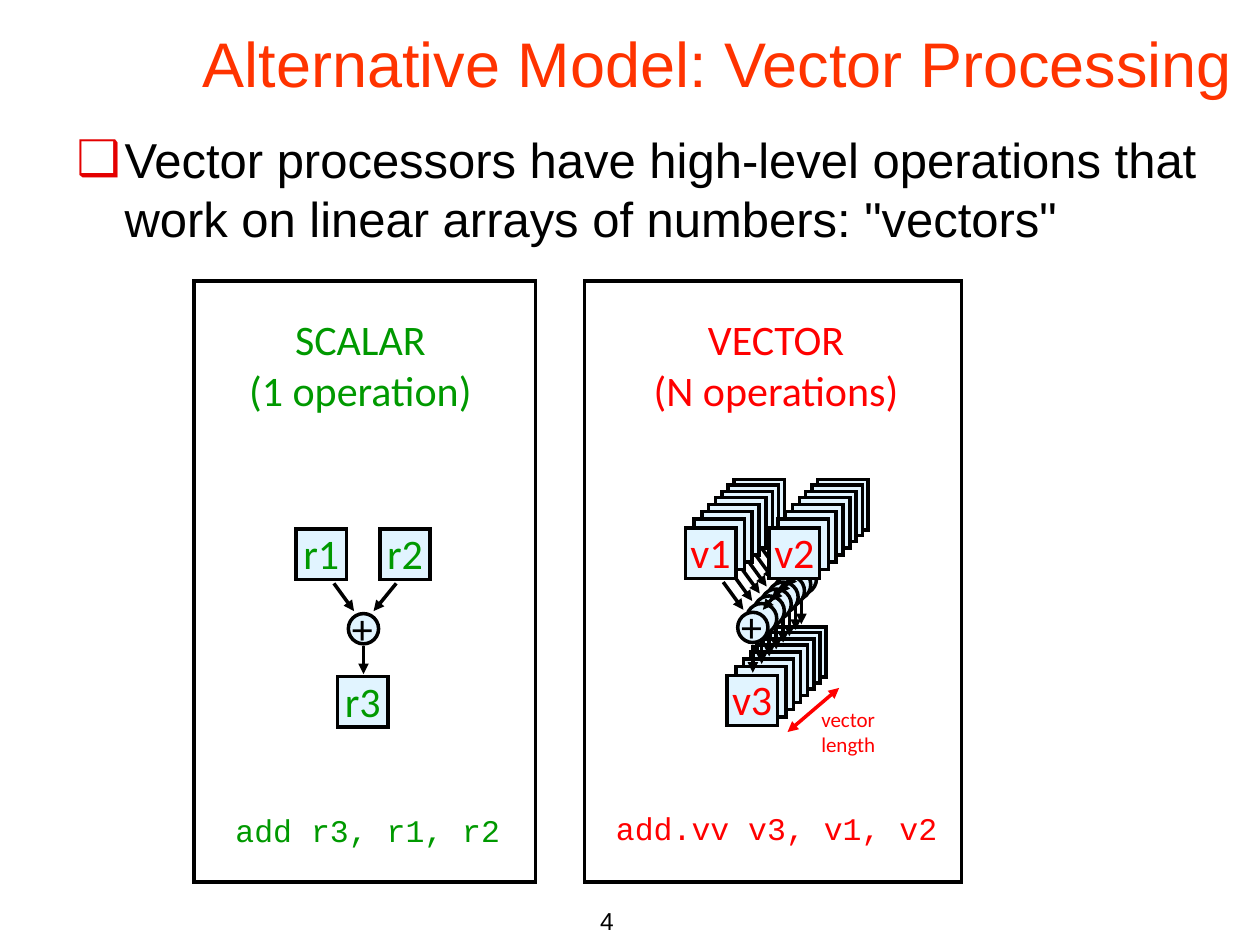
from pptx import Presentation
from pptx.dml.color import RGBColor
from pptx.enum.shapes import MSO_CONNECTOR, MSO_SHAPE
from pptx.enum.text import MSO_ANCHOR, MSO_AUTO_SIZE, PP_ALIGN
from pptx.oxml.ns import qn
from pptx.util import Inches, Pt
from lxml import etree

RECT, OVAL = MSO_SHAPE.RECTANGLE, MSO_SHAPE.OVAL
STRAIGHT = MSO_CONNECTOR.STRAIGHT
LEFT, CENTER, RIGHT = PP_ALIGN.LEFT, PP_ALIGN.CENTER, PP_ALIGN.RIGHT
TITLE_ONLY = 5
COLS, ROWS = 100, 75
WIDTH, HEIGHT = Inches(10), Inches(7.5)

BLACK, RED, GREEN = "000000", "FF0000", "009900"
PALE, ORANGE, BULLET_RED = "E1F4FF", "FF3300", "E40000"
SANS, LABEL, CODE = "Arial", "Calibri", "Courier New"

NODE, RING = 4, 2.4
OPERANDS = [(0, 0), (6.65, 0), (3.3, 11.7)]
RING_AT = (4.15, 6.7)
ARROWS = [((3, 4.3), (4.6, 6.5)), ((7.95, 4.3), (6.15, 6.5)),
          ((5.35, 9.3), (5.35, 11.5))]
DEPTHS = [3.85, 3.4, 2.9, 2.4, 1.85, 1.3, 0.7, 0]


def rgb(color):
    """Turn a hex string into a colour."""
    return RGBColor.from_string(color)


def cells(x, y):
    """Turn a grid column and row into slide lengths."""
    return int(WIDTH * x / COLS), int(HEIGHT * y / ROWS)


def place(x, y, w, h):
    """Turn a grid box into left, top, width and height."""
    return (*cells(x, y), *cells(w, h))


def fill_text(tf, lines, font, size, color, align=LEFT):
    """Write one paragraph for each line in a single style."""
    for i, line in enumerate(lines):
        p = tf.paragraphs[0] if i == 0 else tf.add_paragraph()
        p.alignment = align
        r = p.add_run()
        r.text = line
        r.font.color.rgb = rgb(color)
        for name, value in {"name": font, "size": Pt(size)}.items():
            setattr(r.font, name, value)


def add_text(slide, box, lines, font, size, color, align=LEFT, wrap=False):
    """Add a text box and return its frame."""
    tf = slide.shapes.add_textbox(*place(*box)).text_frame
    tf.word_wrap = wrap
    fill_text(tf, lines, font, size, color, align)
    return tf


def add_title(slide, box, text):
    """Move and format the title placeholder."""
    sp = slide.shapes.title
    for name, value in zip(("left", "top", "width", "height"), place(*box)):
        setattr(sp, name, value)
    tf = sp.text_frame
    tf.auto_size = MSO_AUTO_SIZE.NONE
    tf.vertical_anchor = MSO_ANCHOR.MIDDLE
    fill_text(tf, [text], SANS, 36, ORANGE)


def add_bullet(slide, box, text):
    """Add a paragraph with a hanging box bullet."""
    p = add_text(slide, box, [text], SANS, 28, BLACK, wrap=True).paragraphs[0]
    p.space_before = Pt(5.6)
    pPr = p._p.get_or_add_pPr()
    indent = Inches(0.38)
    pPr.set("marL", str(indent))
    pPr.set("indent", str(-indent))
    color = etree.SubElement(pPr, qn("a:buClr"))
    etree.SubElement(color, qn("a:srgbClr"), val=BULLET_RED)
    etree.SubElement(pPr, qn("a:buFont"), typeface=SANS)
    etree.SubElement(pPr, qn("a:buChar"), char="❑")


def add_box(slide, kind, box, fill=None):
    """Add a black-lined shape with an optional fill."""
    sp = slide.shapes.add_shape(kind, *place(*box))
    sp.shadow.inherit = False
    sp.line.color.rgb = rgb(BLACK)
    sp.line.width = Pt(2)
    etree.SubElement(sp.line._get_or_add_ln(), qn("a:miter"), lim="800000")
    if fill:
        sp.fill.solid()
        sp.fill.fore_color.rgb = rgb(fill)
    else:
        sp.fill.background()


def add_arrow(slide, start, end, color=BLACK, ends=("tailEnd",)):
    """Add a straight line with triangle heads at the named ends."""
    cx = slide.shapes.add_connector(STRAIGHT, *cells(*start), *cells(*end))
    cx.line.color.rgb = rgb(color)
    cx.line.width = Pt(2)
    ln = cx.line._get_or_add_ln()
    for name in ends:
        etree.SubElement(ln, qn(f"a:{name}"), type="triangle")
    etree.SubElement(cx._element.spPr, qn("a:effectLst"))


def add_unit(slide, x, y, arrows=ARROWS):
    """Add one adder with two operands, a result and its arrows."""
    dx, dy = RING_AT
    add_box(slide, OVAL, (x + dx, y + dy, RING, RING), PALE)
    for dx, dy in OPERANDS:
        add_box(slide, RECT, (x + dx, y + dy, NODE, NODE), PALE)
    for (x1, y1), (x2, y2) in arrows:
        add_arrow(slide, (x + x1, y + y1), (x + x2, y + y2))


def add_labels(slide, x, y, letter, color):
    """Name the registers of an adder and mark its plus sign."""
    for i, (dx, dy) in enumerate(OPERANDS, 1):
        add_text(slide, (x + dx - 1, y + dy - 0.6, NODE + 2, 5),
                 [f"{letter}{i}"], LABEL, 24, color, CENTER)
    add_text(slide, (x + 3.4, y + 5.3, 3.7, 5), ["+"], LABEL, 24, BLACK, CENTER)


def add_panel(slide, frame, heading, heading_box, code, code_box, color):
    """Add a framed panel with its heading and instruction."""
    add_box(slide, RECT, frame)
    add_text(slide, heading_box, heading, LABEL, 24, color, CENTER)
    add_text(slide, code_box, [code], CODE, 18, color)


def main():
    """Build the slide and save it."""
    prs = Presentation()
    prs.slide_width, prs.slide_height = WIDTH, HEIGHT
    slide = prs.slides.add_slide(prs.slide_layouts[TITLE_ONLY])

    add_text(slide, (28.9, 71.4, 20.8, 5), ["4"], SANS, 14, BLACK, RIGHT, True)
    add_title(slide, (15.1, 0.7, 85.4, 8.5),
              "Alternative Model: Vector Processing")
    add_bullet(slide, (5.1, 9.8, 93.8, 8.3),
               "Vector processors have high-level operations that work on "
               'linear arrays of numbers: "vectors"')

    add_panel(slide, (15.4, 22.3, 27.1, 47.7),
              ["SCALAR", "(1 operation)"], (18.7, 24.4, 19.8, 9.1),
              "add r3, r1, r2", (17.7, 63.9, 23.1, 4), GREEN)
    add_unit(slide, 23.5, 42)
    add_labels(slide, 23.5, 42, "r", GREEN)

    add_panel(slide, (46.4, 22.3, 29.9, 47.7),
              ["VECTOR", "(N operations)"], (50.8, 24.4, 21.6, 9.1),
              "add.vv v3, v1, v2", (47.9, 63.7, 27.6, 4), RED)
    for i, depth in enumerate(DEPTHS):
        add_unit(slide, 54.4 + depth, 41.9 - depth,
                 ARROWS if i else ARROWS[1:])
    add_labels(slide, 54.4, 41.9, "v", RED)

    add_arrow(slide, (66.6, 54.6), (62.5, 58.1), RED, ("headEnd", "tailEnd"))
    add_text(slide, (64.2, 55.6, 7, 5), ["vector", "length"],
             LABEL, 12, RED, wrap=True)
    prs.save("out.pptx")


if __name__ == "__main__":
    main()
